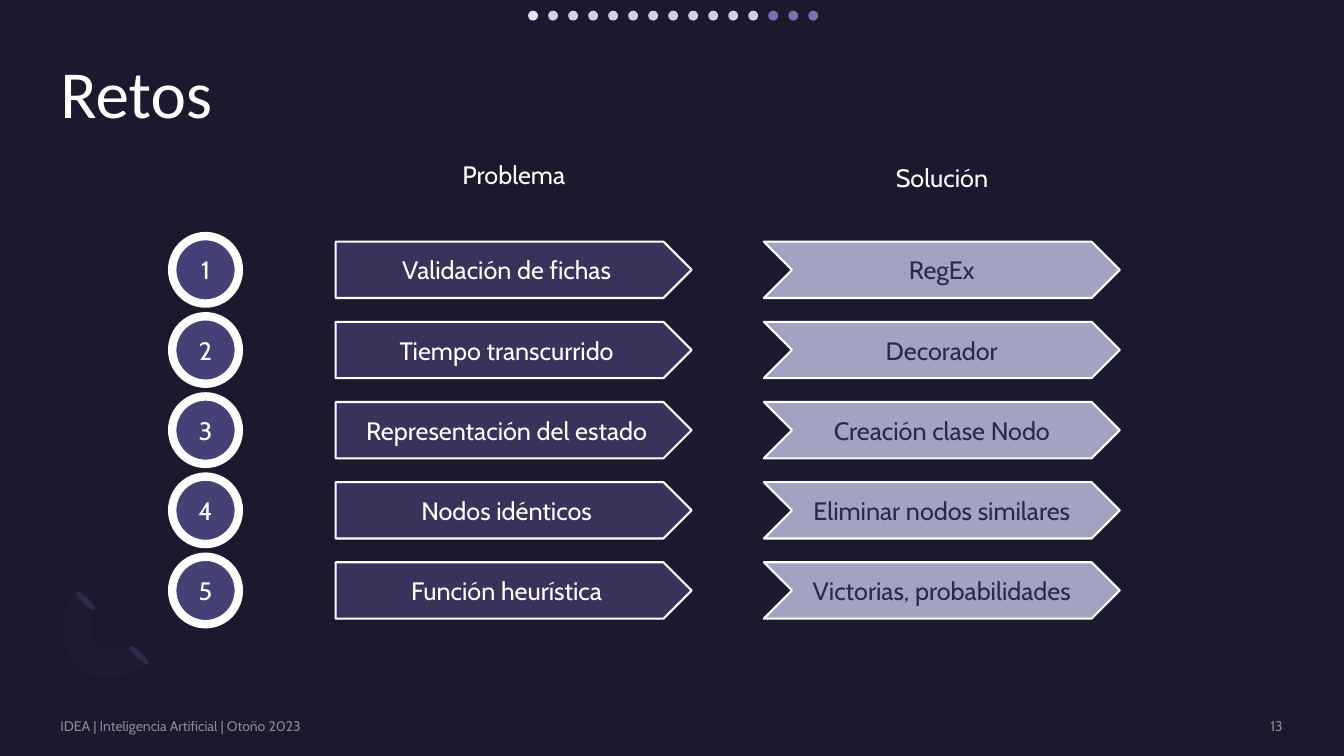
from dataclasses import dataclass

from lxml import etree
from pptx import Presentation
from pptx import util as u
from pptx.dml.color import RGBColor
from pptx.enum import shapes, text
from pptx.oxml.ns import qn

NIGHT = RGBColor(0x1B, 0x19, 0x2E)
WHITE = RGBColor(0xFF, 0xFF, 0xFF)
GREY = RGBColor(0xA6, 0xA6, 0xA6)
INDIGO = RGBColor(0x2C, 0x28, 0x4A)
PLUM = RGBColor(0x37, 0x33, 0x5B)
VIOLET = RGBColor(0x45, 0x40, 0x75)
LAVENDER = RGBColor(0xA3, 0xA3, 0xC1)
RING = RGBColor(0x77, 0x71, 0xB2)
DOT_FIRST = RGBColor(0xE4, 0xE3, 0xF0)
DOT_DONE = RGBColor(0xD2, 0xD0, 0xE5)
DOT_PENDING = RGBColor(0x78, 0x72, 0xB0)

CHALLENGES = [
    ("Validación de fichas", "RegEx"),
    ("Tiempo transcurrido", "Decorador"),
    ("Representación del estado", "Creación clase Nodo"),
    ("Nodos idénticos", "Eliminar nodos similares"),
    ("Función heurística", "Victorias, probabilidades"),
]


@dataclass
class Box:
    """A region of the slide, in centimetres."""
    left: float
    top: float
    width: float
    height: float

    def lengths(self):
        return [u.Cm(v) for v in (self.left, self.top, self.width, self.height)]


def set_alpha(shape, percent):
    for color in shape.element.iter(qn("a:srgbClr")):
        etree.SubElement(color, qn("a:alpha"), val=str(percent * 1000))


def write(shape, words, size, color, align, font="Cabin"):
    paragraph = shape.text_frame.paragraphs[0]
    paragraph.alignment = align
    run = paragraph.add_run()
    run.text = words
    run.font.size = u.Pt(size)
    run.font.name = font
    run.font.color.rgb = color
    return paragraph


def remove_insets(frame):
    frame.margin_left = frame.margin_right = 0
    frame.margin_top = frame.margin_bottom = 0


def add_figure(slide, kind, box, fill, line=None, line_width=1.5):
    shape = slide.shapes.add_shape(kind, *box.lengths())
    shape.shadow.inherit = False
    shape.fill.solid()
    shape.fill.fore_color.rgb = fill
    if line is None:
        shape.line.fill.background()
    else:
        shape.line.color.rgb = line
        shape.line.width = u.Pt(line_width)
    return shape


def add_labelled(slide, kind, box, fill, words, color, line_width=1.5):
    shape = add_figure(slide, kind, box, fill, WHITE, line_width)
    shape.text_frame.vertical_anchor = text.MSO_ANCHOR.MIDDLE
    write(shape, words, 18, color, text.PP_ALIGN.CENTER)


def add_text(slide, box, words, size, color, align):
    shape = slide.shapes.add_textbox(*box.lengths())
    shape.text_frame.word_wrap = True
    write(shape, words, size, color, align)
    return shape


def curve(start, first, second, end, steps=16):
    """Points of a cubic Bezier curve, without its start."""
    for step in range(1, steps + 1):
        t = step / steps
        s = 1 - t
        yield tuple(s**3 * a + 3 * s * s * t * b + 3 * s * t * t * c + t**3 * d
                    for a, b, c, d in zip(start, first, second, end))


def draw_ornament(slide, box):
    # Two tilted ellipses
    for x, y in ((2.29, 1.4), (0.94, 0.03)):
        ellipse = add_figure(slide, shapes.MSO_SHAPE.OVAL,
                             Box(box.left + x, box.top + y, 0.15, 0.66), INDIGO)
        ellipse.rotation = 135

    # Faint half ring
    start, outer_end = (0.79, 1.95), (0.91, 0)
    inner_start, inner_middle, inner_end = (1.37, 0.46), (1.3, 1.42), (2.29, 1.37)
    points = [
        *curve(start, (0.28, 1.45), (0.33, 0.58), outer_end),
        *curve(inner_start, (1.07, 0.74), (1.04, 1.19), inner_middle),
        *curve(inner_middle, (1.55, 1.68), (1.98, 1.65), inner_end),
        *curve((2.72, 1.83), (2.16, 2.39), (1.27, 2.46), start),
    ]
    points = [(u.Cm(box.left + x), u.Cm(box.top + y)) for x, y in points]
    builder = slide.shapes.build_freeform(*points[-1])
    builder.add_line_segments(points, close=True)
    ring = builder.convert_to_shape()
    ring.shadow.inherit = False
    ring.fill.solid()
    ring.fill.fore_color.rgb = RING
    set_alpha(ring, 4)
    ring.line.fill.background()


def draw_title(slide, box, words):
    title = slide.shapes.title
    title.left, title.top, title.width, title.height = box.lengths()
    frame = title.text_frame
    remove_insets(frame)
    frame.vertical_anchor = text.MSO_ANCHOR.TOP
    paragraph = write(title, words, 48, WHITE, text.PP_ALIGN.LEFT, "Calibri")
    paragraph.line_spacing = 0.9


def draw_footer(slide, box):
    number_width = 4.7
    number_left = box.left + box.width - number_width
    entries = (
        ("13", Box(number_left, box.top, number_width, box.height), text.PP_ALIGN.RIGHT),
        ("IDEA | Inteligencia Artificial | Otoño 2023",
         Box(box.left, box.top, 17.73, box.height), text.PP_ALIGN.LEFT),
    )
    for words, place, align in entries:
        shape = add_text(slide, place, words, 10, GREY, align)
        remove_insets(shape.text_frame)
        shape.text_frame.vertical_anchor = text.MSO_ANCHOR.MIDDLE
        set_alpha(shape, 80)


def draw_challenges(slide, box):
    problem_left, solution_left = box.left + 4.12, box.left + 14.91
    arrow_width, arrow_height = 8.97, 1.42
    circle_width, circle_height = 1.68, 1.7
    first_row = 2.06
    pitch = (box.height - first_row - circle_height) / (len(CHALLENGES) - 1)

    # Numbered rows
    for index, (problem, solution) in enumerate(CHALLENGES):
        top = box.top + first_row + index * pitch
        arrow_top = top + (circle_height - arrow_height) / 2
        add_labelled(slide, shapes.MSO_SHAPE.PENTAGON,
                     Box(problem_left, arrow_top, arrow_width, arrow_height),
                     PLUM, problem, WHITE)
        add_labelled(slide, shapes.MSO_SHAPE.CHEVRON,
                     Box(solution_left, arrow_top, arrow_width, arrow_height),
                     LAVENDER, solution, INDIGO)
        add_labelled(slide, shapes.MSO_SHAPE.OVAL,
                     Box(box.left, top, circle_width, circle_height),
                     VIOLET, str(index + 1), WHITE, line_width=6)

    # Column headings
    for words, left, drop in (("Problema", problem_left, 0),
                              ("Solución", solution_left, 0.08)):
        heading = add_text(slide, Box(left + 0.25, box.top + drop, 8.48, 1.02),
                           words, 18, WHITE, text.PP_ALIGN.CENTER)
        heading.text_frame.auto_size = text.MSO_AUTO_SIZE.SHAPE_TO_FIT_TEXT


def draw_progress(slide, box):
    colors = [DOT_FIRST] + [DOT_DONE] * 11 + [DOT_PENDING] * 3
    pitch = (box.width - box.height) / (len(colors) - 1)
    for index, color in enumerate(colors):
        add_figure(slide, shapes.MSO_SHAPE.OVAL,
                   Box(box.left + index * pitch, box.top, box.height, box.height), color)


def main():
    presentation = Presentation()
    presentation.slide_width, presentation.slide_height = u.Cm(33.87), u.Cm(19.05)
    slide = presentation.slides.add_slide(presentation.slide_layouts[5])
    slide.background.fill.solid()
    slide.background.fill.fore_color.rgb = NIGHT

    draw_ornament(slide, Box(1.14, 14.78, 2.72, 2.4))
    draw_title(slide, Box(1.52, 1.52, 30.81, 3.71), "Retos")
    draw_footer(slide, Box(1.52, 18.08, 30.81, 0.43))
    draw_challenges(slide, Box(4.34, 3.89, 23.88, 11.84))
    draw_progress(slide, Box(13.31, 0.27, 7.31, 0.25))
    presentation.save("out.pptx")


if __name__ == "__main__":
    main()
